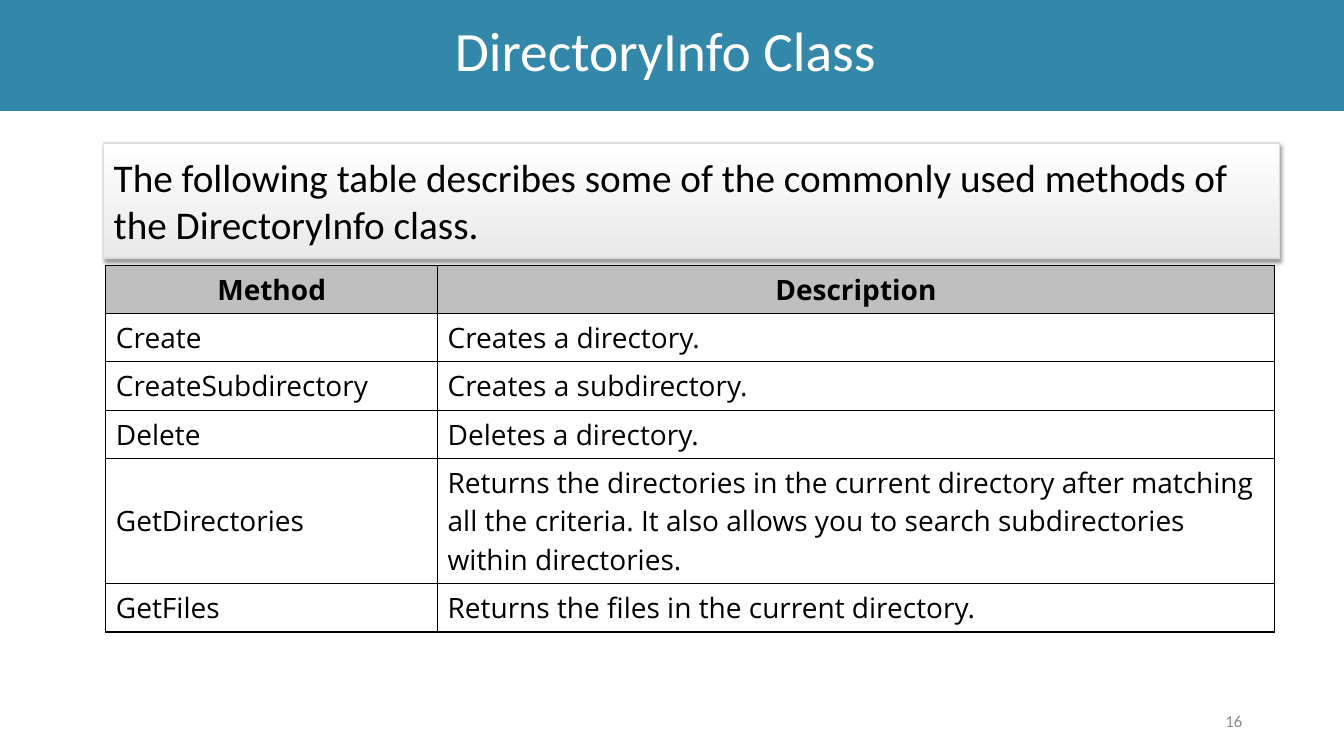
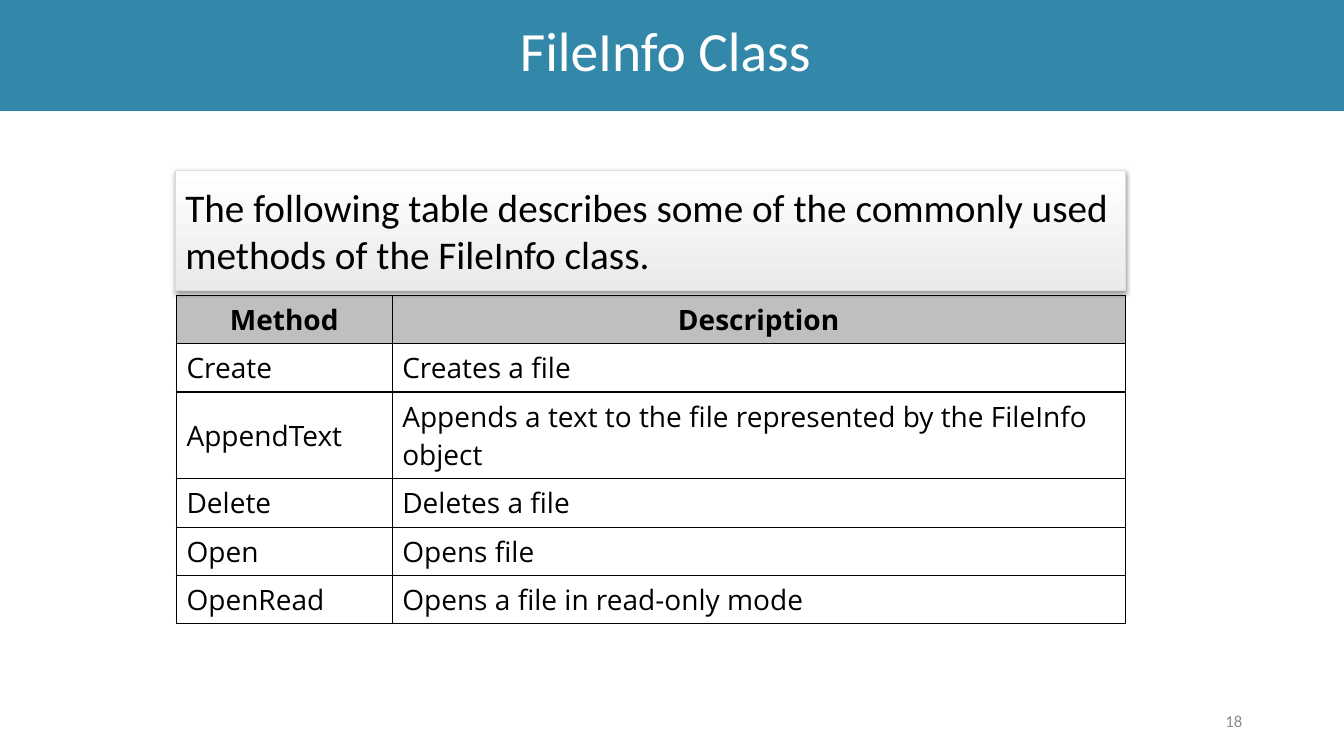
"""Build two slides that list the methods of the DirectoryInfo and FileInfo classes."""
from dataclasses import dataclass

import pptx
import pptx.dml.color
import pptx.enum.shapes
import pptx.enum.text
import pptx.oxml
import pptx.oxml.ns
import pptx.util
from pptx.util import Inches

RGB = pptx.dml.color.RGBColor.from_string
ALIGN = pptx.enum.text.PP_ALIGN
MIDDLE = pptx.enum.text.MSO_ANCHOR.MIDDLE
RECTANGLE = pptx.enum.shapes.MSO_SHAPE.RECTANGLE
NAMESPACE = pptx.oxml.ns.nsdecls("a")


@dataclass(frozen=True)
class TextStyle:
    font: str
    size: float
    color: str
    bold: bool = False


@dataclass(frozen=True)
class Theme:
    band: str = "3388A9"
    header: str = "BFBFBF"
    border: str = "000000"
    intro_top: str = "FFFFFF"
    intro_bottom: str = "EAEAEA"
    intro_line: str = "DDDDDD"
    title: TextStyle = TextStyle("Calibri", 39.6, "FFFFFF")
    intro: TextStyle = TextStyle("Calibri", 28, "000000")
    number: TextStyle = TextStyle("Calibri", 12, "8C8C8C")
    heading: TextStyle = TextStyle("Open Sans", 20, "000000", True)
    body: TextStyle = TextStyle("Open Sans", 20, "000000")


@dataclass(frozen=True)
class Box:
    left: float
    top: float
    width: float
    height: float

    def lengths(self) -> tuple:
        return tuple(map(Inches, (self.left, self.top, self.width, self.height)))


@dataclass(frozen=True)
class Method:
    name: str
    description: str
    lines: int = 1


@dataclass(frozen=True)
class ClassSlide:
    class_name: str
    number: int
    intro_box: Box
    table_left: float
    table_top: float
    columns: tuple[float, float]
    methods: tuple[Method, ...]


THEME = Theme()
SLIDE_WIDTH, SLIDE_HEIGHT = 13.33, 7.5
BAND_BOX = Box(0, 0, SLIDE_WIDTH, 1.1)
NUMBER_BOX = Box(9.42, 6.95, 3, 0.4)
LINE_HEIGHT, CELL_PADDING = 0.38, 0.1

CLASS_SLIDES = (
    ClassSlide("DirectoryInfo", 16, Box(1.03, 1.42, 11.66, 1.14), 1.05, 2.63, (3.29, 8.3), (
        Method("Create", "Creates a directory."),
        Method("CreateSubdirectory", "Creates a subdirectory."),
        Method("Delete", "Deletes a directory."),
        Method("GetDirectories", "Returns the directories in the current directory after matching "
               "all the criteria. It also allows you to search subdirectories within directories.", 3),
        Method("GetFiles", "Returns the files in the current directory."),
    )),
    ClassSlide("FileInfo", 18, Box(1.74, 1.69, 9.42, 1.19), 1.75, 2.93, (2.14, 7.27), (
        Method("Create", "Creates a file"),
        Method("AppendText", "Appends a text to the file represented by the FileInfo object", 2),
        Method("Delete", "Deletes a file"),
        Method("Open", "Opens file"),
        Method("OpenRead", "Opens a file in read-only mode"),
    )),
)


def write(text_frame, text: str, style: TextStyle, alignment=ALIGN.LEFT):
    """Put one styled paragraph in a text frame and return it."""
    text_frame.text = text
    text_frame.word_wrap = True
    paragraph = text_frame.paragraphs[0]
    paragraph.alignment = alignment
    for run in paragraph.runs:
        run.font.name = style.font
        run.font.size = pptx.util.Pt(style.size)
        run.font.bold = style.bold
        run.font.color.rgb = RGB(style.color)
    return paragraph


def add_rectangle(slide, box: Box):
    """Add a rectangle without a shadow whose text sits in the middle."""
    shape = slide.shapes.add_shape(RECTANGLE, *box.lengths())
    shape.shadow.inherit = False
    shape.text_frame.vertical_anchor = MIDDLE
    return shape


def add_title(slide, text: str) -> None:
    """Add the full-width title band."""
    band = add_rectangle(slide, BAND_BOX)
    band.fill.solid()
    band.fill.fore_color.rgb = RGB(THEME.band)
    band.line.fill.background()
    band.text_frame.margin_right = Inches(0.23)
    band.text_frame.margin_bottom = Inches(0.09)
    write(band.text_frame, text, THEME.title, ALIGN.CENTER).line_spacing = 0.9


def add_number(slide, number: int) -> None:
    """Add the slide number at the lower right."""
    text_box = slide.shapes.add_textbox(*NUMBER_BOX.lengths())
    text_box.text_frame.vertical_anchor = MIDDLE
    write(text_box.text_frame, str(number), THEME.number, ALIGN.RIGHT)


def add_intro(slide, box: Box, text: str) -> None:
    """Add the shaded box that introduces the table."""
    intro = add_rectangle(slide, box)
    intro.fill.gradient()
    intro.fill.gradient_angle = 270
    for stop, color in zip(intro.fill.gradient_stops, (THEME.intro_top, THEME.intro_bottom)):
        stop.color.rgb = RGB(color)
    intro.line.color.rgb = RGB(THEME.intro_line)
    intro.line.width = pptx.util.Pt(1)
    effects = intro._element.spPr.find(pptx.oxml.ns.qn("a:effectLst"))
    effects.append(pptx.oxml.parse_xml(
        f'<a:outerShdw {NAMESPACE} blurRad="40000" dist="20000" dir="5400000" rotWithShape="0">'
        '<a:srgbClr val="000000"><a:alpha val="38000"/></a:srgbClr></a:outerShdw>'))
    write(intro.text_frame, text, THEME.intro)


def add_borders(cell) -> None:
    """Draw a thin line on all four sides of a cell."""
    properties = cell._tc.get_or_add_tcPr()
    for side in ("lnL", "lnR", "lnT", "lnB"):
        properties.append(pptx.oxml.parse_xml(
            f'<a:{side} {NAMESPACE} w="{pptx.util.Pt(1)}"><a:solidFill>'
            f'<a:srgbClr val="{THEME.border}"/></a:solidFill></a:{side}>'))


def fill_cell(cell, text: str, is_header: bool) -> None:
    """Write and format one table cell."""
    add_borders(cell)
    cell.vertical_anchor = MIDDLE
    if is_header:
        cell.fill.solid()
        cell.fill.fore_color.rgb = RGB(THEME.header)
        write(cell.text_frame, text, THEME.heading, ALIGN.CENTER)
    else:
        cell.fill.background()
        write(cell.text_frame, text, THEME.body)


def add_method_table(slide, content: ClassSlide) -> None:
    """Add the table of methods under its header row."""
    rows = (Method("Method", "Description"), *content.methods)
    heights = [CELL_PADDING + LINE_HEIGHT * row.lines for row in rows]
    box = Box(content.table_left, content.table_top, sum(content.columns), sum(heights))
    table = slide.shapes.add_table(len(rows), len(content.columns), *box.lengths()).table
    table.first_row = False
    table.horz_banding = False
    for column, width in zip(table.columns, content.columns):
        column.width = Inches(width)
    for index, (row, height) in enumerate(zip(rows, heights)):
        table.rows[index].height = Inches(height)
        for column_index, text in enumerate((row.name, row.description)):
            fill_cell(table.cell(index, column_index), text, index == 0)


def add_class_slide(presentation, content: ClassSlide) -> None:
    """Add one slide that describes a class."""
    slide = presentation.slides.add_slide(presentation.slide_layouts[6])
    add_title(slide, f"{content.class_name} Class")
    add_number(slide, content.number)
    add_method_table(slide, content)
    add_intro(slide, content.intro_box, "The following table describes some of the commonly used "
              f"methods of the {content.class_name} class.")


def main() -> None:
    """Build and save the presentation."""
    presentation = pptx.Presentation()
    presentation.slide_width = Inches(SLIDE_WIDTH)
    presentation.slide_height = Inches(SLIDE_HEIGHT)
    for content in CLASS_SLIDES:
        add_class_slide(presentation, content)
    presentation.save("out.pptx")


if __name__ == "__main__":
    main()
